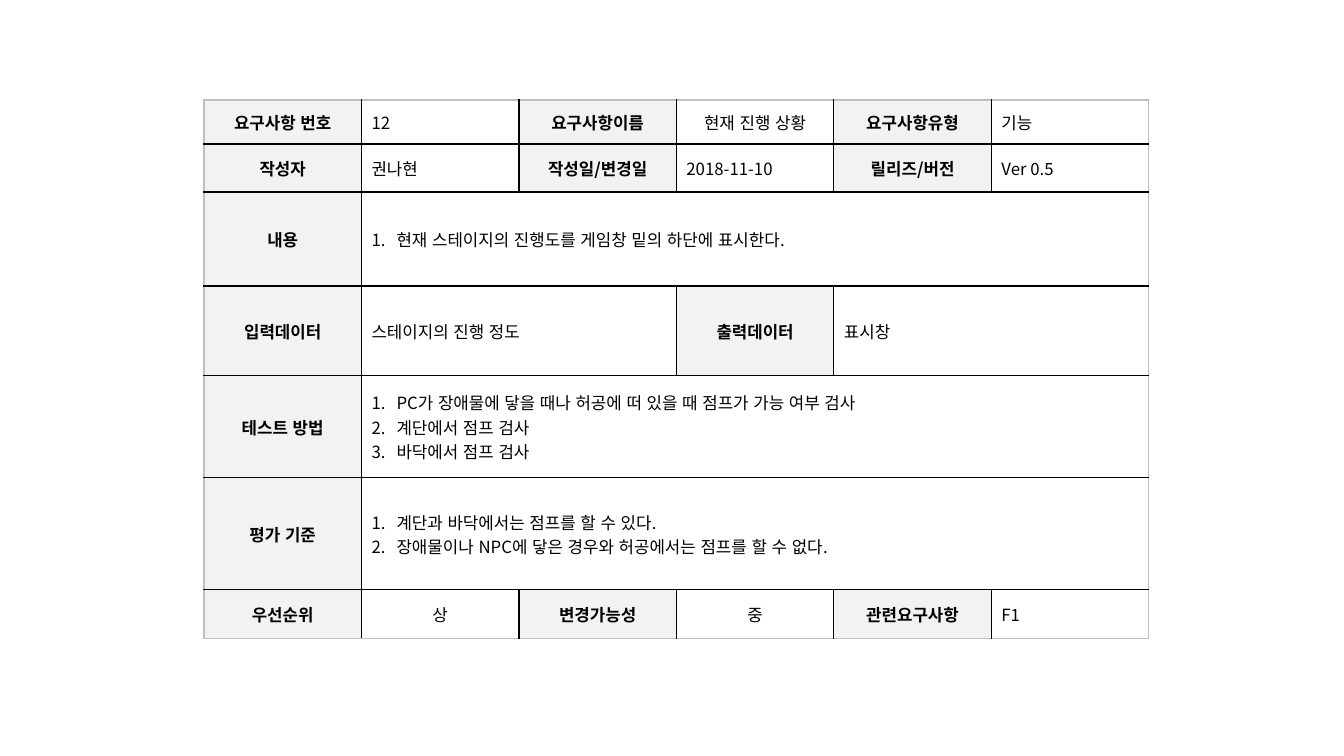
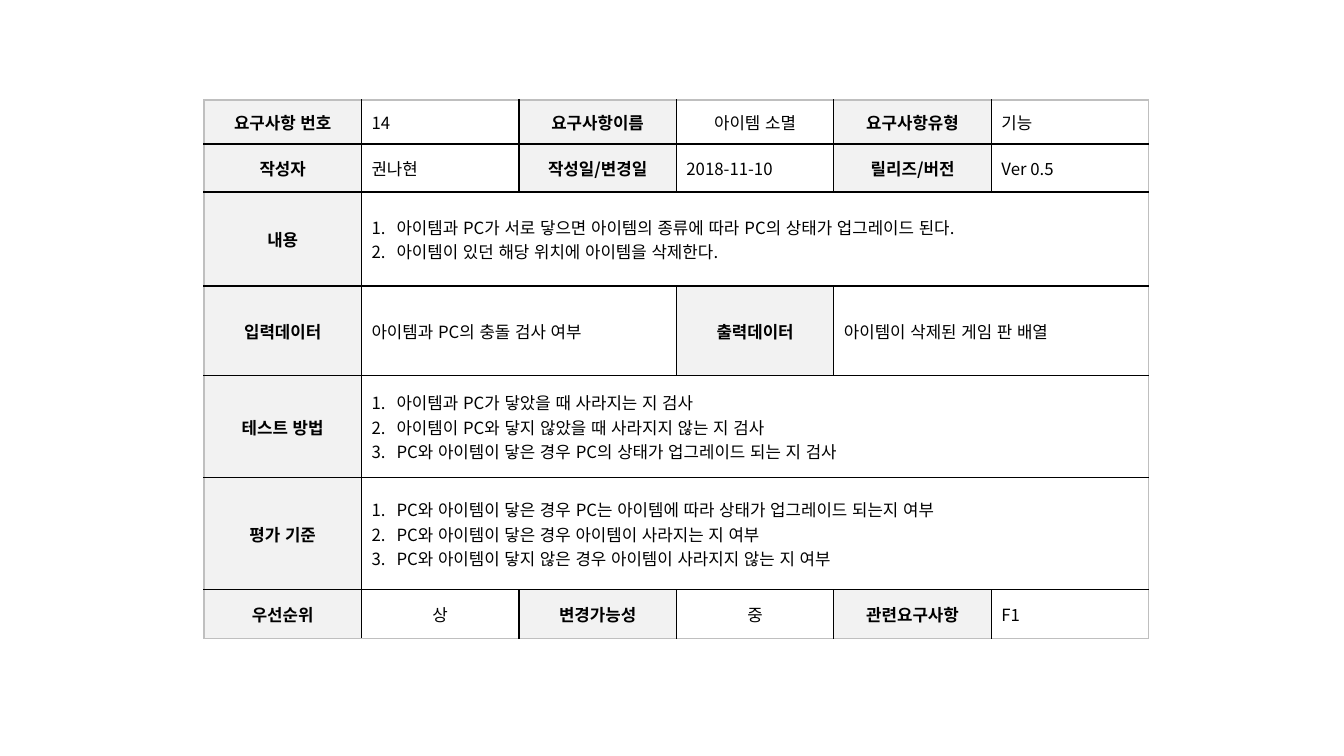
"""Build two requirement specification slides as tables."""
from dataclasses import dataclass

import pptx
import pptx.dml.color
import pptx.enum.lang
import pptx.enum.text
import pptx.oxml
import pptx.oxml.ns
import pptx.presentation
import pptx.slide
import pptx.table
import pptx.text.text
import pptx.util

EMU_PER_PX = 914400 / 100.8
SLIDE_WIDTH, SLIDE_HEIGHT = 1344, 756
TABLE_LEFT, TABLE_TOP, TABLE_WIDTH = 204, 100, 945
COLUMN_COUNT = 6
ROW_HEIGHTS = (44, 48, 94, 90, 102, 112, 49)
LIST_INDENT = 25
FONT = "Noto Sans CJK KR"
FONT_SIZE = 12
INK, LABEL_FILL, VALUE_FILL, OUTER_LINE = "000000", "F2F2F2", "FFFFFF", "BFBFBF"
LINE_WIDTH = 1


@dataclass(frozen=True)
class Entry:
    """One table cell, possibly spanning several columns."""
    lines: tuple[str, ...]
    span: int = 1
    label: bool = False
    centred: bool = False
    numbered: bool = False


@dataclass(frozen=True)
class Requirement:
    """The wording that differs between requirement slides."""
    number: str
    name: str
    content: tuple[str, ...]
    input_data: str
    output_data: str
    tests: tuple[str, ...]
    criteria: tuple[str, ...]


REQUIREMENTS = (
    Requirement(
        number="12",
        name="현재 진행 상황",
        content=("현재 스테이지의 진행도를 게임창 밑의 하단에 표시한다.",),
        input_data="스테이지의 진행 정도",
        output_data="표시창",
        tests=(
            "PC가 장애물에 닿을 때나 허공에 떠 있을 때 점프가 가능 여부 검사",
            "계단에서 점프 검사",
            "바닥에서 점프 검사",
        ),
        criteria=(
            "계단과 바닥에서는 점프를 할 수 있다.",
            "장애물이나 NPC에 닿은 경우와 허공에서는 점프를 할 수 없다.",
        ),
    ),
    Requirement(
        number="14",
        name="아이템 소멸",
        content=(
            "아이템과 PC가 서로 닿으면 아이템의 종류에 따라 PC의 상태가 업그레이드 된다.",
            "아이템이 있던 해당 위치에 아이템을 삭제한다.",
        ),
        input_data="아이템과 PC의 충돌 검사 여부",
        output_data="아이템이 삭제된 게임 판 배열",
        tests=(
            "아이템과 PC가 닿았을 때 사라지는 지 검사",
            "아이템이 PC와 닿지 않았을 때 사라지지 않는 지 검사",
            "PC와 아이템이 닿은 경우 PC의 상태가 업그레이드 되는 지 검사",
        ),
        criteria=(
            "PC와 아이템이 닿은 경우 PC는 아이템에 따라 상태가 업그레이드 되는지 여부",
            "PC와 아이템이 닿은 경우 아이템이 사라지는 지 여부",
            "PC와 아이템이 닿지 않은 경우 아이템이 사라지지 않는 지 여부",
        ),
    ),
)


def px(length: int) -> pptx.util.Emu:
    """Turn pixels into EMU."""
    return pptx.util.Emu(round(length * EMU_PER_PX))


def color(value: str) -> pptx.dml.color.RGBColor:
    """Turn a hex string into a colour."""
    return pptx.dml.color.RGBColor.from_string(value)


def label(text: str) -> Entry:
    """Make a shaded heading cell."""
    return Entry((text,), label=True, centred=True)


def value(text: str, span: int = 1, centred: bool = False) -> Entry:
    """Make a plain value cell."""
    return Entry((text,), span=span, centred=centred)


def steps(lines: tuple[str, ...]) -> Entry:
    """Make a numbered list filling the rest of its row."""
    return Entry(lines, span=COLUMN_COUNT - 1, numbered=True)


def form_rows(item: Requirement) -> tuple[tuple[Entry, ...], ...]:
    """Lay out a requirement as rows of cells."""
    return (
        (label("요구사항 번호"), value(item.number),
         label("요구사항이름"), value(item.name, centred=True),
         label("요구사항유형"), value("기능")),
        (label("작성자"), value("권나현"),
         label("작성일/변경일"), value("2018-11-10"),
         label("릴리즈/버전"), value("Ver 0.5")),
        (label("내용"), steps(item.content)),
        (label("입력데이터"), value(item.input_data, span=2),
         label("출력데이터"), value(item.output_data, span=2)),
        (label("테스트 방법"), steps(item.tests)),
        (label("평가 기준"), steps(item.criteria)),
        (label("우선순위"), value("상", centred=True),
         label("변경가능성"), value("중", centred=True),
         label("관련요구사항"), value("F1")),
    )


def add_border(cell: pptx.table._Cell, side: str, outer: bool) -> None:
    """Draw one side of a cell."""
    properties = cell._tc.get_or_add_tcPr()
    line = pptx.oxml.parse_xml(
        f'<a:{side} {pptx.oxml.ns.nsdecls("a")} w="{pptx.util.Pt(LINE_WIDTH)}">'
        f'<a:solidFill><a:srgbClr val="{OUTER_LINE if outer else INK}"/></a:solidFill>'
        f'</a:{side}>'
    )
    properties.append(line)


def number_paragraph(para: pptx.text.text._Paragraph) -> None:
    """Give a paragraph a hanging automatic number."""
    properties = para._p.get_or_add_pPr()
    properties.set("marL", str(px(LIST_INDENT)))
    properties.set("indent", str(-px(LIST_INDENT)))
    properties.append(pptx.oxml.parse_xml(
        f'<a:buAutoNum {pptx.oxml.ns.nsdecls("a")} type="arabicPeriod"/>'
    ))


def add_text(para: pptx.text.text._Paragraph, text: str, bold: bool) -> None:
    """Add one run in the shared font."""
    span = para.add_run()
    span.text = text
    font = span.font
    font.size = pptx.util.Pt(FONT_SIZE)
    font.bold = bold
    font.color.rgb = color(INK)
    font.name = FONT
    font.language_id = pptx.enum.lang.MSO_LANGUAGE_ID.KOREAN
    font._element.find(pptx.oxml.ns.qn("a:latin")).addnext(pptx.oxml.parse_xml(
        f'<a:ea {pptx.oxml.ns.nsdecls("a")} typeface="{FONT}"/>'
    ))


def fill_entry(table: pptx.table.Table, row: int, column: int, entry: Entry) -> None:
    """Format and write one cell together with the columns it spans."""
    last = column + entry.span - 1
    sides = {
        "lnL": column == 0,
        "lnR": last == COLUMN_COUNT - 1,
        "lnT": row == 0,
        "lnB": row == len(ROW_HEIGHTS) - 1,
    }
    for index in range(column, last + 1):
        cell = table.cell(row, index)
        for side, outer in sides.items():
            add_border(cell, side, outer)
        cell.fill.solid()
        cell.fill.fore_color.rgb = color(LABEL_FILL if entry.label else VALUE_FILL)
    cell = table.cell(row, column)
    if entry.span > 1:
        cell.merge(table.cell(row, last))
    cell.vertical_anchor = pptx.enum.text.MSO_ANCHOR.MIDDLE
    frame = cell.text_frame
    for index, text in enumerate(entry.lines):
        para = frame.add_paragraph() if index else frame.paragraphs[0]
        alignment = pptx.enum.text.PP_ALIGN
        para.alignment = alignment.CENTER if entry.centred else alignment.LEFT
        if entry.numbered:
            number_paragraph(para)
        add_text(para, text, entry.label)


def add_requirement(page: pptx.slide.Slide, item: Requirement) -> None:
    """Draw the requirement form on a page."""
    table = page.shapes.add_table(
        len(ROW_HEIGHTS), COLUMN_COUNT, px(TABLE_LEFT), px(TABLE_TOP),
        px(TABLE_WIDTH), px(sum(ROW_HEIGHTS)),
    ).table
    table.first_row = False
    table.horz_banding = False
    for column in table.columns:
        column.width = px(TABLE_WIDTH) // COLUMN_COUNT
    for row, height in zip(table.rows, ROW_HEIGHTS):
        row.height = px(height)
    for row_index, entries in enumerate(form_rows(item)):
        column_index = 0
        for entry in entries:
            fill_entry(table, row_index, column_index, entry)
            column_index += entry.span


def main() -> None:
    """Build and save the deck."""
    deck = pptx.Presentation()
    deck.slide_width = px(SLIDE_WIDTH)
    deck.slide_height = px(SLIDE_HEIGHT)
    for item in REQUIREMENTS:
        page = deck.slides.add_slide(deck.slide_layouts[6])
        add_requirement(page, item)
    deck.save("out.pptx")


if __name__ == "__main__":
    main()
